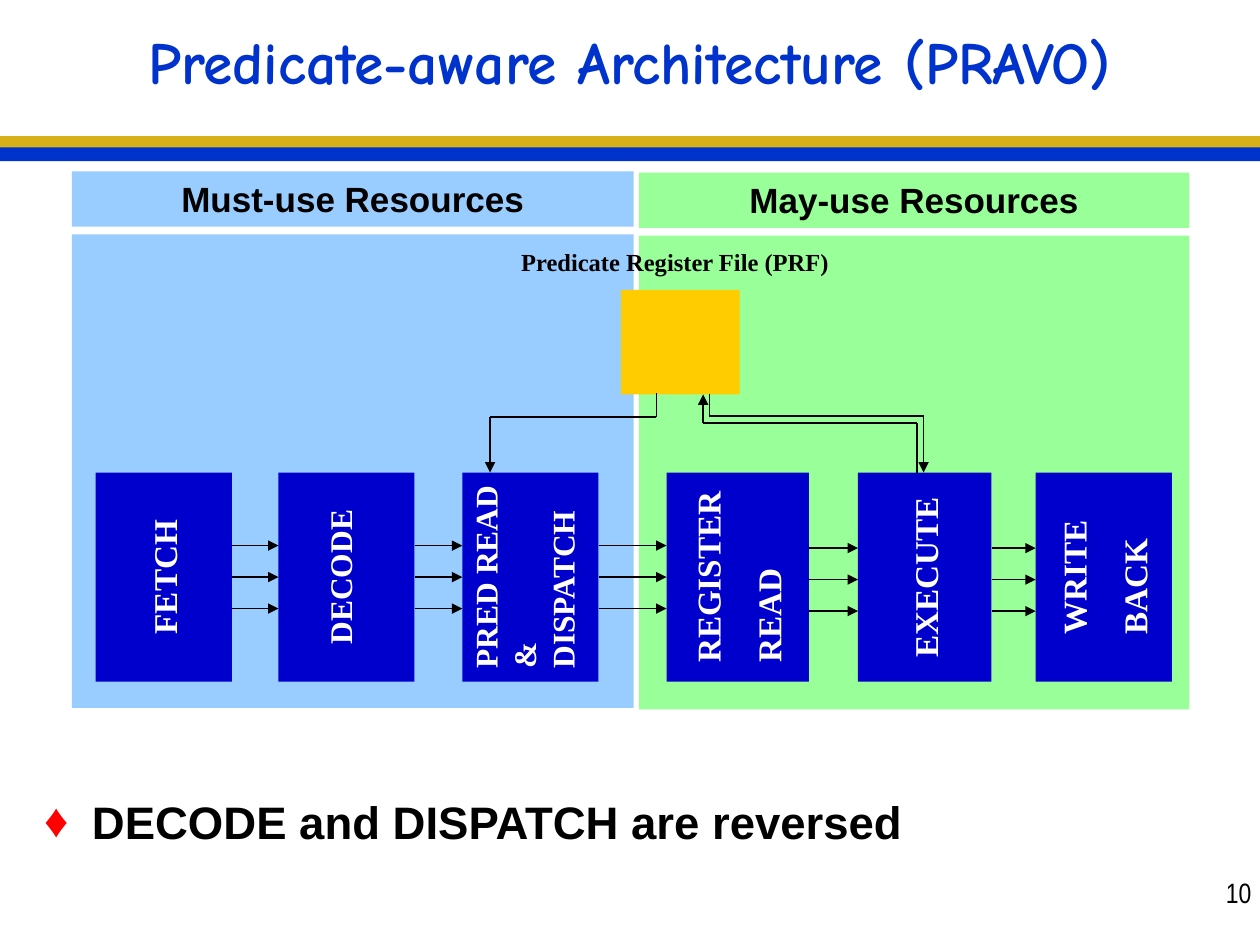
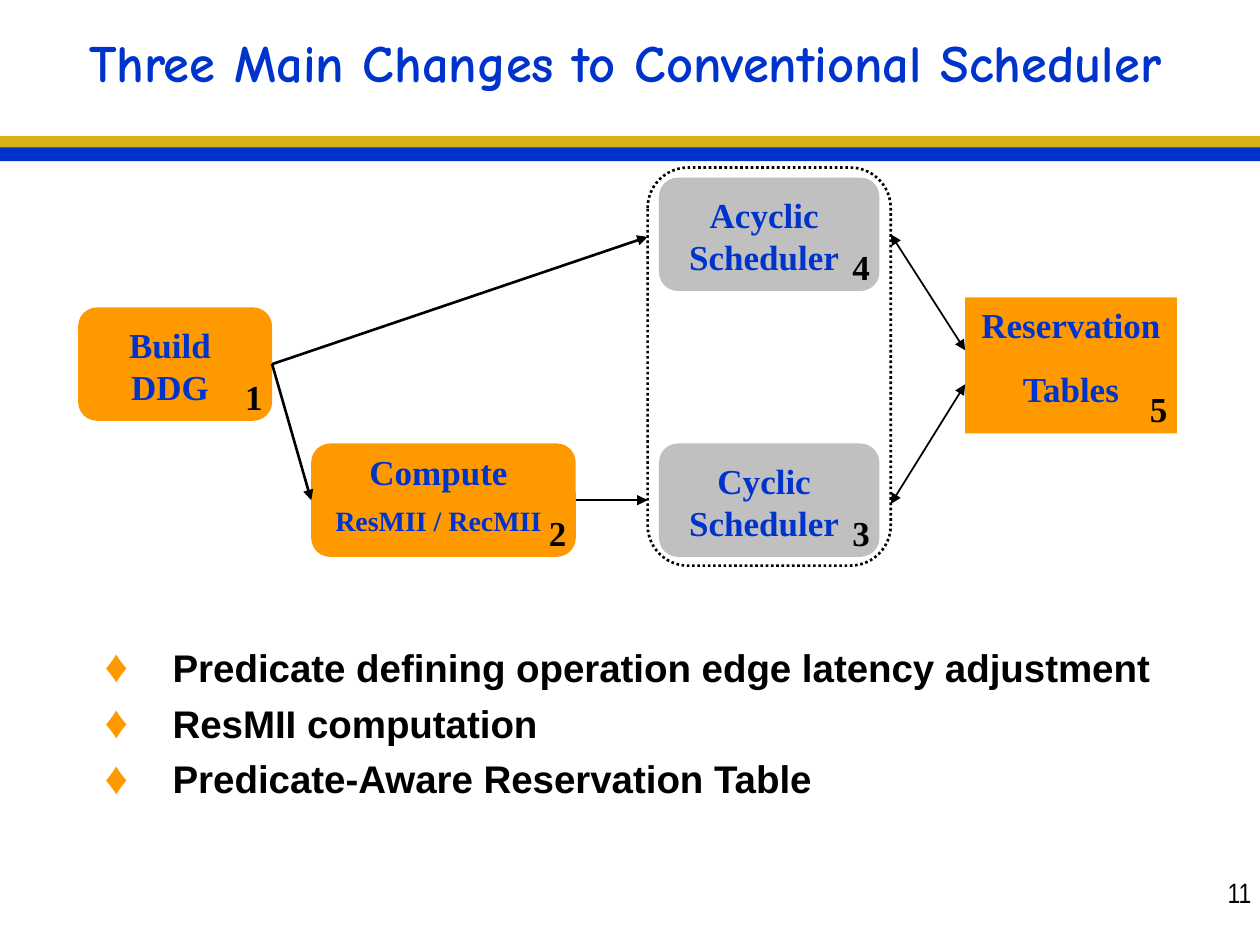
from dataclasses import dataclass
from itertools import pairwise

import pptx
import pptx.dml.color
import pptx.enum.dml
import pptx.enum.shapes
import pptx.enum.text
import pptx.oxml
import pptx.oxml.ns
import pptx.util

Inches = pptx.util.Inches
Pt = pptx.util.Pt
SHAPES = pptx.enum.shapes.MSO_SHAPE
ALIGN = pptx.enum.text.PP_ALIGN
ANCHOR = pptx.enum.text.MSO_ANCHOR


@dataclass(frozen=True)
class Theme:
    blue: str = "0033CC"
    gold: str = "D7B117"
    black: str = "000000"
    white: str = "FFFFFF"
    must_use: str = "99CCFF"
    may_use: str = "99FF99"
    stage: str = "0000CC"
    register_file: str = "FFCC00"
    changed: str = "FF9900"
    unchanged: str = "C0C0C0"
    red: str = "FF0000"
    title_font: str = "Comic Neue"
    body_font: str = "Arial"
    number_font: str = "Arial Narrow"
    diagram_font: str = "Times New Roman"
    heading_size: int = 20
    stage_size: int = 19
    small_stage_size: int = 18
    note_size: int = 16
    label_size: int = 14


THEME = Theme()


@dataclass(frozen=True)
class Box:
    """A rectangle in inches."""
    left: float
    top: float
    width: float
    height: float

    @property
    def right(self):
        return self.left + self.width

    @property
    def bottom(self):
        return self.top + self.height

    @property
    def middle(self):
        return self.top + self.height / 2

    def inner(self, left, top, width, height):
        return Box(self.left + left, self.top + top, width, height)

    def point(self, x, y):
        return self.left + x, self.top + y

    def lengths(self):
        return [Inches(v) for v in (self.left, self.top, self.width, self.height)]


def color(value):
    return pptx.dml.color.RGBColor.from_string(value)


# Basic parts

def write(shape, text, font, size, ink=THEME.black, bold=True, align=ALIGN.CENTER,
          anchor=ANCHOR.TOP, wrap=True, spacing=1.0, before=0):
    """Fill a shape with text; space goes before every paragraph but the first."""
    frame = shape.text_frame
    frame.text = text
    frame.word_wrap = wrap
    frame.auto_size = pptx.enum.text.MSO_AUTO_SIZE.NONE
    frame.vertical_anchor = anchor
    for index, paragraph in enumerate(frame.paragraphs):
        paragraph.alignment = align
        paragraph.line_spacing = spacing
        paragraph.space_before = Pt(before if index else 0)
        for run in paragraph.runs:
            run.font.name = font
            run.font.size = Pt(size)
            run.font.bold = bold
            run.font.color.rgb = color(ink)


def add_block(slide, box, fill=None, kind=SHAPES.RECTANGLE):
    shape = slide.shapes.add_shape(kind, *box.lengths())
    shape.shadow.inherit = False
    shape.line.fill.background()
    if fill:
        shape.fill.solid()
        shape.fill.fore_color.rgb = color(fill)
    else:
        shape.fill.background()
    return shape


def add_label(slide, box, text, font, size, **style):
    label = slide.shapes.add_textbox(*box.lengths())
    write(label, text, font, size, **style)
    return label


def add_line(slide, start, end, width=1.0, head=False, tail=False):
    line = slide.shapes.add_connector(
        pptx.enum.shapes.MSO_CONNECTOR.STRAIGHT, *map(Inches, (*start, *end)))
    line.line.color.rgb = color(THEME.black)
    line.line.width = Pt(width)
    outline = line.line._get_or_add_ln()
    for name, wanted in (("a:headEnd", head), ("a:tailEnd", tail)):
        if wanted:
            arrow = pptx.oxml.parse_xml(
                f'<{name} {pptx.oxml.ns.nsdecls("a")} type="triangle"/>')
            outline.append(arrow)
    line._element.spPr.append(
        pptx.oxml.parse_xml(f'<a:effectLst {pptx.oxml.ns.nsdecls("a")}/>'))


def add_route(slide, points):
    """Draw a bent line with an arrowhead on its last segment."""
    segments = list(pairwise(points))
    for index, (start, end) in enumerate(segments, 1):
        add_line(slide, start, end, tail=index == len(segments))


# What every slide has

def add_base_slide(presentation, title, title_box, title_size, number):
    slide = presentation.slides.add_slide(presentation.slide_layouts[1])
    add_block(slide, Box(0, 1.08, 10, 0.11), THEME.gold)
    add_block(slide, Box(0, 1.17, 10, 0.11), THEME.blue)
    add_label(slide, Box(9, 6.9, 1.03, 0.37), str(number), THEME.number_font,
              THEME.note_size, bold=False, align=ALIGN.RIGHT, wrap=False)
    heading = slide.shapes.title
    heading.left, heading.top, heading.width, heading.height = title_box.lengths()
    write(heading, title, THEME.title_font, title_size, THEME.blue,
          anchor=ANCHOR.MIDDLE, spacing=0.75)
    return slide


def fill_bullets(slide, box, items, size, indent, bullet_color, bullet_percent, before):
    body = slide.placeholders[1]
    body.left, body.top, body.width, body.height = box.lengths()
    body.text_frame.text = "\n".join(items)
    namespace = pptx.oxml.ns.nsdecls("a")
    for paragraph in body.text_frame.paragraphs:
        properties = paragraph._p.get_or_add_pPr()
        properties.set("marL", str(Inches(indent)))
        properties.set("indent", str(-Inches(indent)))
    write(body, "\n".join(items), THEME.body_font, size, align=ALIGN.LEFT, before=before)
    for paragraph in body.text_frame.paragraphs:
        properties = paragraph._p.get_or_add_pPr()
        properties.set("marL", str(Inches(indent)))
        properties.set("indent", str(-Inches(indent)))
        for xml in (f'<a:buClr {namespace}><a:srgbClr val="{bullet_color}"/></a:buClr>',
                    f'<a:buSzPct {namespace} val="{bullet_percent * 1000}"/>',
                    f'<a:buFont {namespace} typeface="{THEME.body_font}"/>',
                    f'<a:buChar {namespace} char="♦"/>'):
            properties.append(pptx.oxml.parse_xml(xml))


# Pipeline slide

def add_resource_panel(slide, box, heading, fill):
    add_block(slide, box.inner(0, 0.5, box.width, 3.76), fill)
    header = add_block(slide, box.inner(0, 0, box.width, 0.44), fill)
    write(header, heading, THEME.body_font, THEME.heading_size)


def add_stage(slide, box, text, size, spacing, before):
    """Add a pipeline stage whose text reads upwards."""
    turned = Box(box.left + (box.width - box.height) / 2,
                 box.top + (box.height - box.width) / 2, box.height, box.width)
    stage = add_block(slide, turned, THEME.stage)
    stage.rotation = 270
    write(stage, text, THEME.diagram_font, size, THEME.white, align=ALIGN.LEFT,
          anchor=ANCHOR.MIDDLE, wrap=False, spacing=spacing, before=before)
    stage.text_frame._txBody.bodyPr.set("anchorCtr", "1")


def add_pipeline(slide, region):
    add_resource_panel(slide, region.inner(0, 0, 4.46, 4.26),
                       "Must-use Resources", THEME.must_use)
    add_resource_panel(slide, region.inner(4.5, 0.01, 4.37, 4.26),
                       "May-use Resources", THEME.may_use)

    # Predicate register file
    add_label(slide, region.inner(3.46, 0.55, 2.65, 0.34), "Predicate Register File (PRF)",
              THEME.diagram_font, THEME.label_size, align=ALIGN.RIGHT, wrap=False)
    add_block(slide, region.inner(4.36, 0.94, 0.94, 0.83), THEME.register_file)

    # Stages: left, width, text, size, line spacing, space before
    wide = (THEME.stage_size, 1.0, 11.9)
    tight = (THEME.small_stage_size, 0.5, 11.2)
    stages = [
        (0.19, 1.08, "FETCH", wide),
        (1.64, 1.08, "DECODE", tight),
        (3.10, 1.08, "PRED READ\n&\nDISPATCH", tight),
        (4.72, 1.13, "REGISTER\nREAD", wide),
        (6.24, 1.06, "EXECUTE", wide),
        (7.65, 1.08, "WRITE\nBACK", wide),
    ]
    boxes = [region.inner(left, 2.39, width, 1.66) for left, width, _, _ in stages]
    for box, (_, _, text, style) in zip(boxes, stages):
        add_stage(slide, box, text, *style)

    # Three arrows between neighbouring stages
    for index, (before, after) in enumerate(pairwise(boxes)):
        first_row = region.top + (2.97 if index < 3 else 2.99)
        for row in range(3):
            y = first_row + 0.25 * row
            add_line(slide, (before.right, y), (after.left, y), tail=True)

    # Links with the register file: start x, start y, bend y, end x, end y
    for start_x, start_y, bend_y, end_x, end_y in (
            (4.64, 1.76, 1.95, 3.32, 2.39),
            (5.06, 1.77, 1.94, 6.76, 2.39),
            (6.71, 2.39, 2.00, 5.01, 1.77)):
        add_route(slide, [region.point(start_x, start_y), region.point(start_x, bend_y),
                          region.point(end_x, bend_y), region.point(end_x, end_y)])


def build_architecture_slide(presentation):
    slide = add_base_slide(presentation, "Predicate-aware Architecture (PRAVO)",
                           Box(0.25, 0.08, 9.5, 0.92), 34, 10)
    add_pipeline(slide, Box(0.57, 1.36, 8.87, 4.27))
    fill_bullets(slide, Box(0.25, 6.25, 8.15, 1.08), ["DECODE and DISPATCH are reversed"],
                 26, 0.38, THEME.red, 105, 6.5)


# Scheduler slide

def add_step(slide, box, text, number, fill, rounded=True, spacing=1.0, before=12.5):
    kind = SHAPES.ROUNDED_RECTANGLE if rounded else SHAPES.RECTANGLE
    step = add_block(slide, box, fill, kind)
    write(step, text, THEME.diagram_font, THEME.heading_size, THEME.blue,
          spacing=spacing, before=before)
    if rounded:
        frame = step.text_frame
        frame.margin_left, frame.margin_right = Inches(0.12), Inches(0.2)
        frame.margin_top = Inches(0.08)
    badge = add_label(slide, Box(box.right - 0.3, box.bottom - 0.41, 0.31, 0.44),
                      str(number), THEME.diagram_font, THEME.heading_size)
    badge.text_frame.margin_left = badge.text_frame.margin_right = 0
    return step


def add_scheduler_flow(slide, region):
    build = region.inner(0, 1.11, 1.54, 0.9)
    compute = region.inner(1.85, 2.19, 2.1, 0.9)
    cyclic = region.inner(4.61, 2.19, 1.75, 0.9)
    acyclic = region.inner(4.61, 0.08, 1.75, 0.9)
    tables = region.inner(7.04, 1.03, 1.68, 1.08)
    schedulers = region.inner(4.52, 0, 1.93, 3.16)

    # Steps
    add_step(slide, build, "Build DDG", 1, THEME.changed)
    step = add_step(slide, compute, "Compute\nResMII / RecMII", 2, THEME.changed,
                    spacing=0.8, before=10)
    step.text_frame.paragraphs[1].runs[0].font.size = Pt(THEME.note_size)
    add_step(slide, cyclic, "Cyclic Scheduler", 3, THEME.unchanged)
    add_step(slide, acyclic, "Acyclic Scheduler", 4, THEME.unchanged)
    add_step(slide, tables, "Reservation\nTables", 5, THEME.changed, rounded=False)

    # Dotted frame round both schedulers
    frame = add_block(slide, schedulers, kind=SHAPES.ROUNDED_RECTANGLE)
    frame.line.color.rgb = color(THEME.black)
    frame.line.width = Pt(1.5)
    frame.line.dash_style = pptx.enum.dml.MSO_LINE.ROUND_DOT

    # Arrows
    fork = (build.right, build.middle)
    acyclic_y = acyclic.middle + 0.02
    for start, end in ((fork, (schedulers.left, acyclic_y)),
                       (fork, (compute.left, compute.middle)),
                       ((compute.right, compute.middle), (schedulers.left, cyclic.middle))):
        add_line(slide, start, end, 1.5, tail=True)
    for scheduler_y, offset in ((acyclic.middle, -0.12), (cyclic.middle + 0.03, 0.15)):
        add_line(slide, (schedulers.right, scheduler_y),
                 (tables.left, tables.middle + offset), head=True, tail=True)


def build_scheduler_slide(presentation):
    slide = add_base_slide(presentation, "Three Main Changes to Conventional Scheduler",
                           Box(0.09, 0.08, 9.75, 0.92), 30, 11)
    add_scheduler_flow(slide, Box(0.62, 1.33, 8.72, 3.16))
    fill_bullets(slide, Box(0.73, 5.06, 8.84, 1.7),
                 ["Predicate defining operation edge latency adjustment",
                  "ResMII computation",
                  "Predicate-Aware Reservation Table"],
                 22, 0.54, THEME.changed, 120, 5.5)


def main():
    presentation = pptx.Presentation()
    presentation.slide_width = Inches(10)
    presentation.slide_height = Inches(7.5)
    build_architecture_slide(presentation)
    build_scheduler_slide(presentation)
    presentation.save("out.pptx")


if __name__ == "__main__":
    main()
